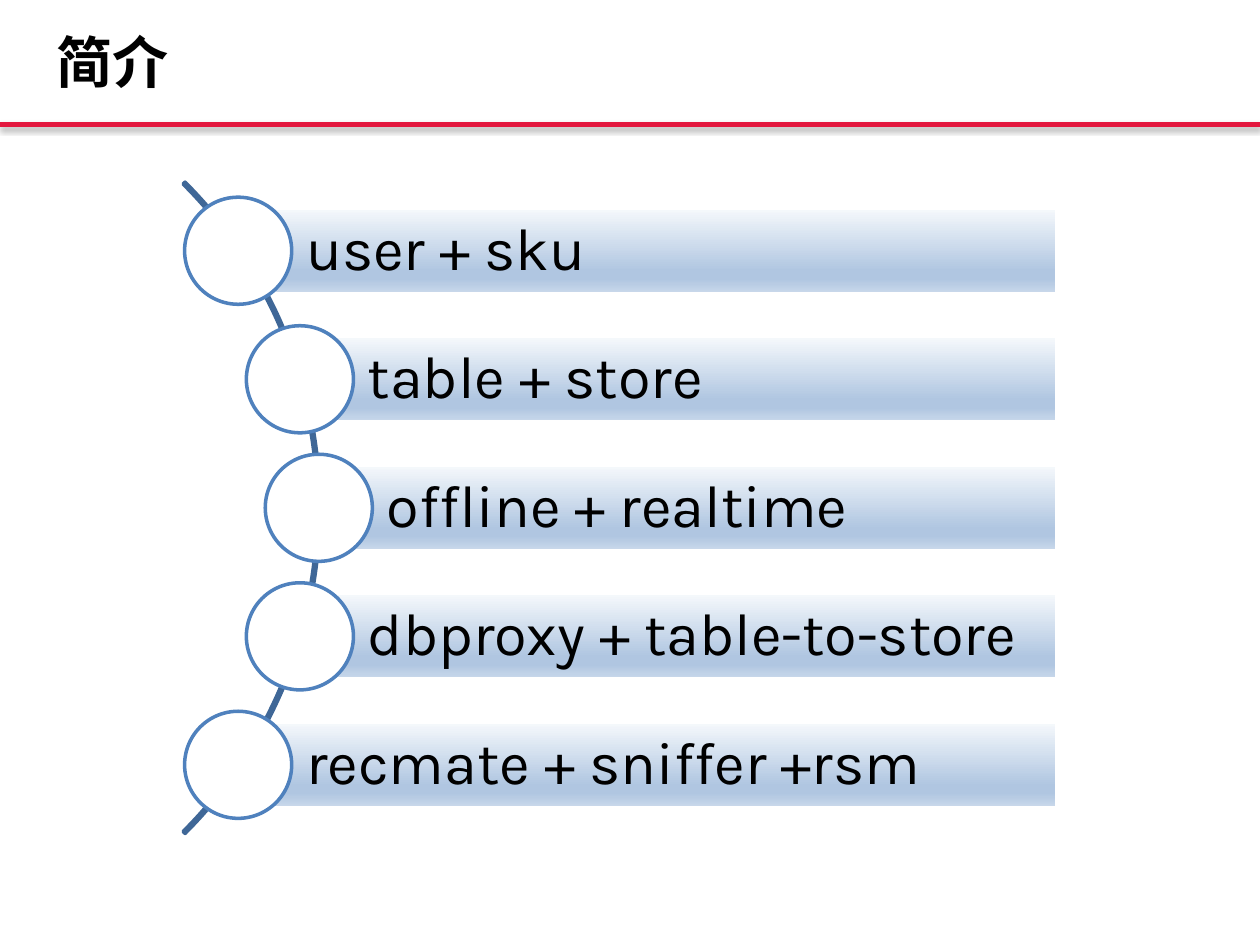
from lxml.etree import SubElement
from pptx import Presentation
from pptx.dml.color import RGBColor
from pptx.enum.shapes import MSO_CONNECTOR, MSO_SHAPE
from pptx.enum.text import MSO_ANCHOR, PP_ALIGN
from pptx.oxml import parse_xml
from pptx.oxml.ns import nsdecls, qn
from pptx.util import Inches, Pt

TITLE = "简介"
ROWS = [
    ("user + sku", 1.89),
    ("table + store", 2.38),
    ("offline + realtime", 2.53),
    ("dbproxy + table-to-store", 2.38),
    ("recmate + sniffer +rsm", 1.89),
]
STOPS = [(0, "F6F9FC"), (74, "B0C6E1"), (83, "B0C6E1"), (100, "CAD9EB")]

FONT = "Karla"
BLACK = RGBColor(0, 0, 0)
WHITE = RGBColor(0xFF, 0xFF, 0xFF)
RED = RGBColor(0xE3, 0x17, 0x3E)
BLUE = RGBColor(0x4F, 0x81, 0xBD)
NAVY = RGBColor(0x3F, 0x67, 0x97)

WIDE, HIGH = 10, 7.5
RULE = 0.99
MID = 4.03
STEP = 1.02
RIGHT = 8.39
BAR = 0.68
DOT = 0.85
ARC = 7.31
EDGE = 2.54


def draw(slide, kind, left, top, width, height, line):
    shape = slide.shapes.add_shape(
        kind, Inches(left), Inches(top), Inches(width), Inches(height))
    shape.shadow.inherit = False
    shape.line.color.rgb = line
    shape.line.width = Pt(2)
    return shape


def write(shape, text, size, bold=False):
    frame = shape.text_frame
    frame.text = text
    frame.word_wrap = True
    frame.vertical_anchor = MSO_ANCHOR.MIDDLE
    para = frame.paragraphs[0]
    para.alignment = PP_ALIGN.LEFT
    font = para.runs[0].font
    font.name, font.size, font.bold = FONT, Pt(size), bold
    font.color.rgb = BLACK
    return frame


def shade(shape):
    shape.fill.gradient()
    shape.fill.gradient_angle = 270
    stops = shape.fill._fill._gradFill.find(qn("a:gsLst"))
    for stop in list(stops):
        stops.remove(stop)
    for place, color in STOPS:
        stop = SubElement(stops, qn("a:gs"), pos=str(place * 1000))
        SubElement(stop, qn("a:srgbClr"), val=color)


def head(slide):
    rule = slide.shapes.add_connector(
        MSO_CONNECTOR.STRAIGHT, 0, Inches(RULE), Inches(WIDE), Inches(RULE))
    rule.line.color.rgb = RED
    rule.line.width = Pt(3)
    rule._element.spPr.append(parse_xml(
        f'<a:effectLst {nsdecls("a")}>'
        f'<a:outerShdw blurRad="{Pt(3.1)}" dist="{Pt(1.8)}" dir="5400000" rotWithShape="0">'
        '<a:srgbClr val="000000"><a:alpha val="35000"/></a:srgbClr>'
        '</a:outerShdw></a:effectLst>'))
    box = slide.shapes.add_textbox(
        Inches(0.35), Inches(0.07), Inches(9.46), Inches(0.83))
    write(box, TITLE, 32, True)


def chain(slide):
    arc = draw(slide, MSO_SHAPE.BLOCK_ARC, EDGE - ARC, MID - ARC / 2, ARC, ARC, NAVY)
    arc.fill.background()
    for spot, value in enumerate((189, 27, 0.003)):
        arc.adjustments[spot] = value
    for row, (text, left) in enumerate(ROWS):
        y = MID + (row - len(ROWS) // 2) * STEP
        bar = draw(slide, MSO_SHAPE.RECTANGLE, left, y - BAR / 2, RIGHT - left, BAR, WHITE)
        shade(bar)
        frame = write(bar, text, 34)
        frame.margin_left = Inches(0.54)
        frame.margin_right = frame.margin_top = frame.margin_bottom = Inches(0.09)
        frame.paragraphs[0].line_spacing = 0.9
        dot = draw(slide, MSO_SHAPE.OVAL, left - DOT / 2, y - DOT / 2, DOT, DOT, BLUE)
        dot.fill.solid()
        dot.fill.fore_color.rgb = WHITE


def main():
    deck = Presentation()
    deck.slide_width, deck.slide_height = Inches(WIDE), Inches(HIGH)
    slide = deck.slides.add_slide(deck.slide_layouts[6])
    head(slide)
    chain(slide)
    deck.save("out.pptx")


if __name__ == "__main__":
    main()
